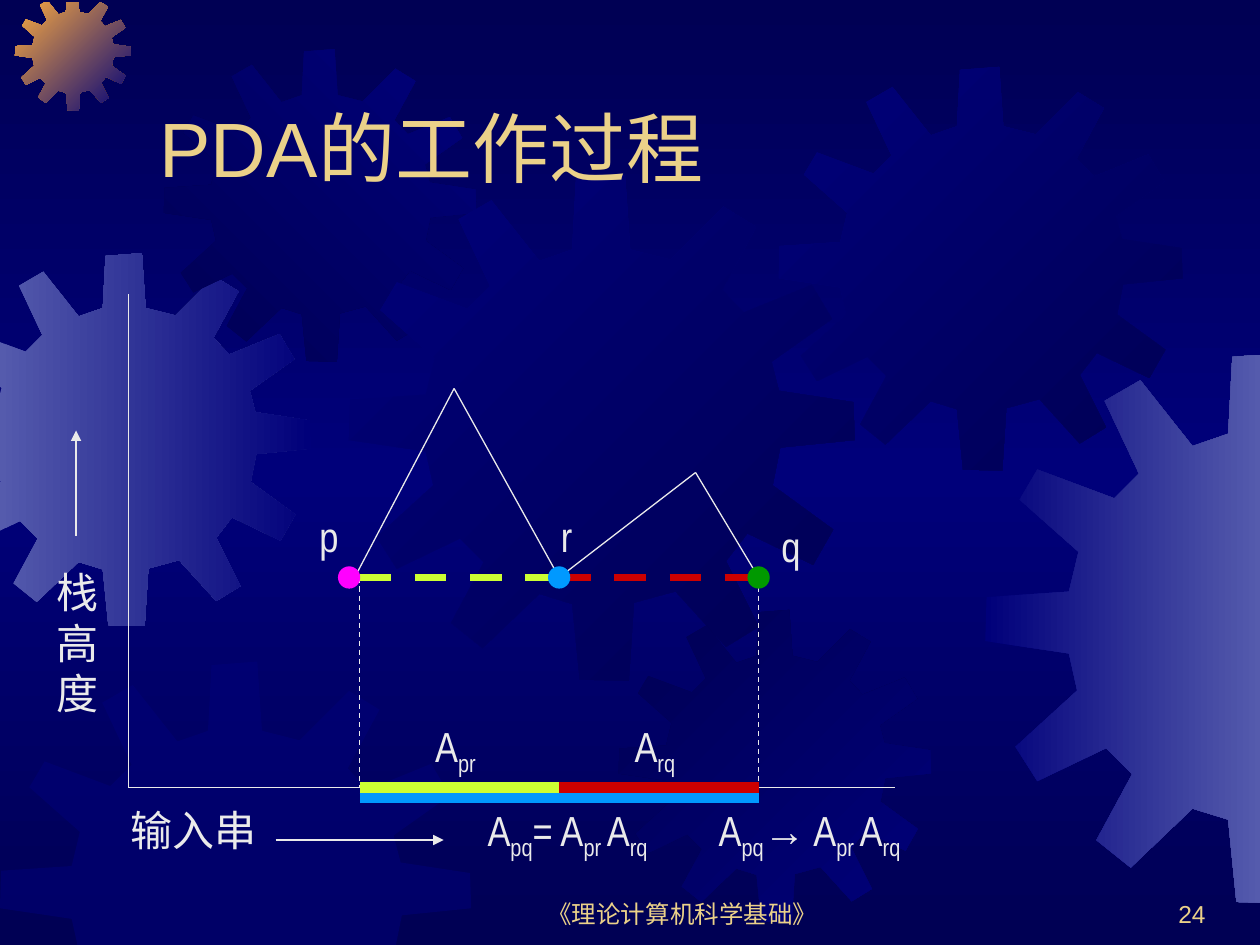
from copy import deepcopy
from dataclasses import dataclass

import pptx
import pptx.dml.color
import pptx.enum.dml
import pptx.enum.shapes
import pptx.enum.text
import pptx.oxml
import pptx.oxml.ns
import pptx.util

Pt = pptx.util.Pt
ALIGN = pptx.enum.text.PP_ALIGN
ANCHOR = pptx.enum.text.MSO_ANCHOR

COLORS = {
    "navy": "000054", "blue": "00007A", "steel": "555BAD", "orange": "FCAB40",
    "gold": "EBD189", "white": "EAEAEA", "lime": "CCFF33", "red": "CC0000",
    "sky": "0099FF", "pink": "FF00FF", "green": "009900",
}

# Outline of a twelve-toothed gear inside a square of side GEAR_SIDE
GEAR_SIDE = 401
GEAR_OUTLINE = [
    (255, 67), (223, 59), (219, 0), (180, 3), (177, 59), (151, 68), (113, 20), (87, 35),
    (112, 88), (94, 106), (38, 85), (25, 107), (68, 145), (61, 174), (1, 178), (0, 210),
    (61, 219), (67, 246), (22, 287), (38, 312), (88, 288), (107, 307), (81, 355), (106, 375),
    (151, 332), (177, 340), (183, 400), (222, 401), (226, 339), (259, 330), (299, 374), (325, 358),
    (299, 306), (316, 284), (368, 309), (384, 281), (336, 246), (342, 216), (401, 210), (400, 180),
    (341, 171), (335, 148), (383, 114), (367, 87), (313, 109), (296, 91), (323, 41), (297, 25),
]
# Axis, limit, and the side of the limit that is kept
GEAR_BOUNDS = [(0, -0.7, 1), (0, 720.7, -1), (1, 1.4, 1), (1, 543, -1)]


@dataclass
class Gear:
    x: float
    y: float
    size: float
    start: str
    end: str = ""
    angle: int = 45


@dataclass
class Line:
    x1: float
    y1: float
    x2: float
    y2: float
    color: str = "white"
    width: float = 0.75
    dashed: bool = False
    arrow: bool = False


@dataclass
class Label:
    text: str
    x: float
    y: float
    w: float = 36
    h: float = 36


@dataclass
class State:
    x: float
    color: str


P_X, R_X, Q_X, STATE_Y = 199.5, 319.5, 433.5, 330
LEFT_X, AXIS_X, AXIS_Y = 205.5, 73.5, 450
PEAK_1, PEAK_2 = (259.5, 222), (397.5, 270)

GEARS = [
    Gear(-35.3, 144.7, 213.1, "steel", "blue", 0),
    Gear(8.6, -2.9, 66, "orange", "blue"),
    Gear(93.6, 28.1, 178.6, "navy", "blue", 315),
    Gear(199.4, 100.1, 289, "blue", "navy"),
    Gear(0, 378, 269.3, "blue"),
    Gear(353.5, 348.5, 178.6, "navy", "blue"),
    Gear(445, 38.2, 230.7, "blue", "navy"),
    Gear(563, 201.6, 314.6, "blue", "steel", 0),
]
LINES = [
    Line(AXIS_X, AXIS_Y, 511.5, AXIS_Y),
    Line(AXIS_X, AXIS_Y, AXIS_X, 168),
    Line(157.5, 480, 253.5, 480, arrow=True),
    Line(43.5, 306, 43.5, 246, arrow=True),
    Line(P_X, STATE_Y + 6, *PEAK_1),
    Line(*PEAK_1, R_X, STATE_Y),
    Line(R_X, STATE_Y, *PEAK_2),
    Line(*PEAK_2, Q_X, STATE_Y),
    Line(LEFT_X, STATE_Y, R_X, STATE_Y, "lime", 4.5, True),
    Line(LEFT_X, STATE_Y, LEFT_X, AXIS_Y, dashed=True),
    Line(Q_X, STATE_Y, Q_X, AXIS_Y, dashed=True),
    Line(R_X, STATE_Y, Q_X, STATE_Y, "red", 4.5, True),
    Line(LEFT_X, AXIS_Y, R_X, AXIS_Y, "lime", 6),
    Line(R_X, AXIS_Y, Q_X, AXIS_Y, "red", 6),
    Line(LEFT_X, AXIS_Y + 6, R_X, AXIS_Y + 6, "sky", 6),
    Line(R_X, AXIS_Y + 6, Q_X, AXIS_Y + 6, "sky", 6),
]
STATES = [State(P_X, "pink"), State(R_X, "sky"), State(Q_X, "green")]
# Every second piece between bars is a subscript
LABELS = [
    Label("输入串", 67.5, 456, 102),
    Label("栈高度", 25.5, 320.4, h=93.6),
    Label("p", 175.5, 288),
    Label("r", 313.5, 288),
    Label("q", 439.5, 294),
    Label("A|pr", 241.5, 408, 48, 40),
    Label("A|rq", 355.5, 408, 48, 40),
    Label("A|pq|= A|pr |A|rq", 271.5, 456, 132, 40),
    Label("A|pq|→|| A|pr |A|rq", 403.5, 456, 132, 40),
]


def rgb(name: str) -> pptx.dml.color.RGBColor:
    return pptx.dml.color.RGBColor.from_string(COLORS[name])


def set_gradient(fill, start: str, end: str, angle: int) -> None:
    """Angle runs clockwise from left to right."""
    fill.gradient()
    fill.gradient_angle = -angle % 360
    for stop, name in zip(fill.gradient_stops, (start, end)):
        stop.color.rgb = rgb(name)


def paint_background(s) -> None:
    fill = s.background.fill
    set_gradient(fill, "navy", "blue", 90)
    first, middle = (stop._gs for stop in fill.gradient_stops)
    middle.set("pos", "50000")
    last = deepcopy(first)
    last.set("pos", "100000")
    middle.addnext(last)


def clip(points: list, axis: int, limit: float, side: int) -> list:
    """Cut a polygon at one limit along one axis."""
    kept = []
    for a, b in zip(points[-1:] + points[:-1], points):
        da, db = side * (a[axis] - limit), side * (b[axis] - limit)
        if da * db < 0:
            t = da / (da - db)
            kept.append((a[0] + t * (b[0] - a[0]), a[1] + t * (b[1] - a[1])))
        if db >= 0:
            kept.append(b)
    return kept


def draw_gear(s, gear: Gear) -> None:
    scale = gear.size / GEAR_SIDE
    points = [(gear.x + x * scale, gear.y + y * scale) for x, y in GEAR_OUTLINE]
    for bound in GEAR_BOUNDS:
        points = clip(points, *bound)
    points = [(Pt(x), Pt(y)) for x, y in points]
    builder = s.shapes.build_freeform(*points[0], scale=1.0)
    builder.add_line_segments(points[1:], close=True)
    sp = builder.convert_to_shape()
    sp.shadow.inherit = False
    sp.line.fill.background()
    if gear.end:
        set_gradient(sp.fill, gear.start, gear.end, gear.angle)
    else:
        sp.fill.solid()
        sp.fill.fore_color.rgb = rgb(gear.start)
        color = sp._element.spPr.find(".//" + pptx.oxml.ns.qn("a:srgbClr"))
        color.append(pptx.oxml.parse_xml(f'<a:alpha {pptx.oxml.ns.nsdecls("a")} val="50000"/>'))


def draw_line(s, line: Line) -> None:
    ends = [Pt(v) for v in (line.x1, line.y1, line.x2, line.y2)]
    c = s.shapes.add_connector(pptx.enum.shapes.MSO_CONNECTOR.STRAIGHT, *ends)
    c.line.color.rgb = rgb(line.color)
    c.line.width = Pt(line.width)
    if line.dashed:
        c.line.dash_style = pptx.enum.dml.MSO_LINE.DASH
    ns = pptx.oxml.ns.nsdecls("a")
    if line.arrow:
        c.line._get_or_add_ln().append(pptx.oxml.parse_xml(f'<a:tailEnd {ns} type="triangle"/>'))
    c._element.spPr.append(pptx.oxml.parse_xml(f"<a:effectLst {ns}/>"))


def draw_state(s, state: State) -> None:
    sp = s.shapes.add_shape(pptx.enum.shapes.MSO_SHAPE.OVAL,
                            Pt(state.x - 6), Pt(STATE_Y - 6), Pt(12), Pt(12))
    sp.shadow.inherit = False
    sp.fill.solid()
    sp.fill.fore_color.rgb = sp.line.color.rgb = rgb(state.color)
    sp.line.width = Pt(0.75)


def write(sp, text: str, *, size: float = 24, font: str = "Arial Narrow", color: str = "white",
          align=ALIGN.LEFT, anchor=ANCHOR.TOP) -> None:
    tf = sp.text_frame
    tf.word_wrap = True
    tf.vertical_anchor = anchor
    p = tf.paragraphs[0]
    p.alignment = align
    for i, piece in enumerate(text.split("|")):
        if not piece:
            continue
        r = p.add_run()
        r.text = piece
        r.font.size = Pt(size)
        r.font.name = "Arial" if piece == "→" else font
        r.font.color.rgb = rgb(color)
        if i % 2:
            r.font._element.set("baseline", "-25000")


def add_label(s, label: Label, **style) -> None:
    box = s.shapes.add_textbox(Pt(label.x), Pt(label.y), Pt(label.w), Pt(label.h))
    write(box, label.text, **style)


def main() -> None:
    prs = pptx.Presentation()
    prs.slide_width, prs.slide_height = Pt(720), Pt(540)
    s = prs.slides.add_slide(prs.slide_layouts[5])
    paint_background(s)
    for gear in GEARS:
        draw_gear(s, gear)

    footer = {"size": 14, "font": "Arial", "color": "gold", "anchor": ANCHOR.BOTTOM}
    add_label(s, Label("《理论计算机科学基础》", 276, 498, 228), align=ALIGN.CENTER, **footer)
    add_label(s, Label("24", 546, 498, 150), align=ALIGN.RIGHT, **footer)

    title = s.shapes.title
    title.left, title.top, title.width, title.height = Pt(84), Pt(24), Pt(612), Pt(90)
    write(title, "PDA的工作过程", **{**footer, "size": 44})
    s.shapes._spTree.append(title._element)  # in front of the gears

    for line in LINES:
        draw_line(s, line)
    for state in STATES:
        draw_state(s, state)
    for label in LABELS:
        add_label(s, label)
    prs.save("out.pptx")


if __name__ == "__main__":
    main()
